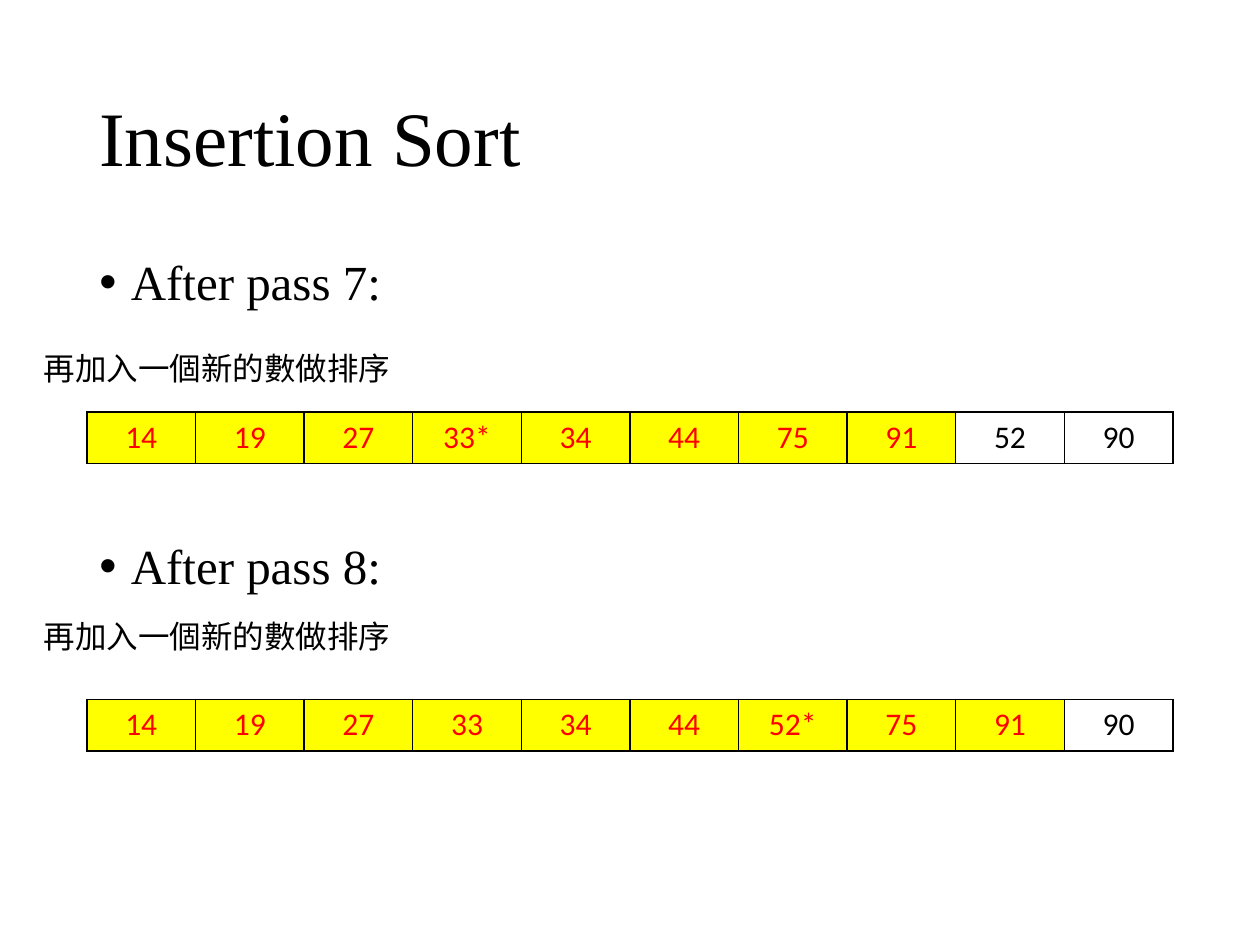
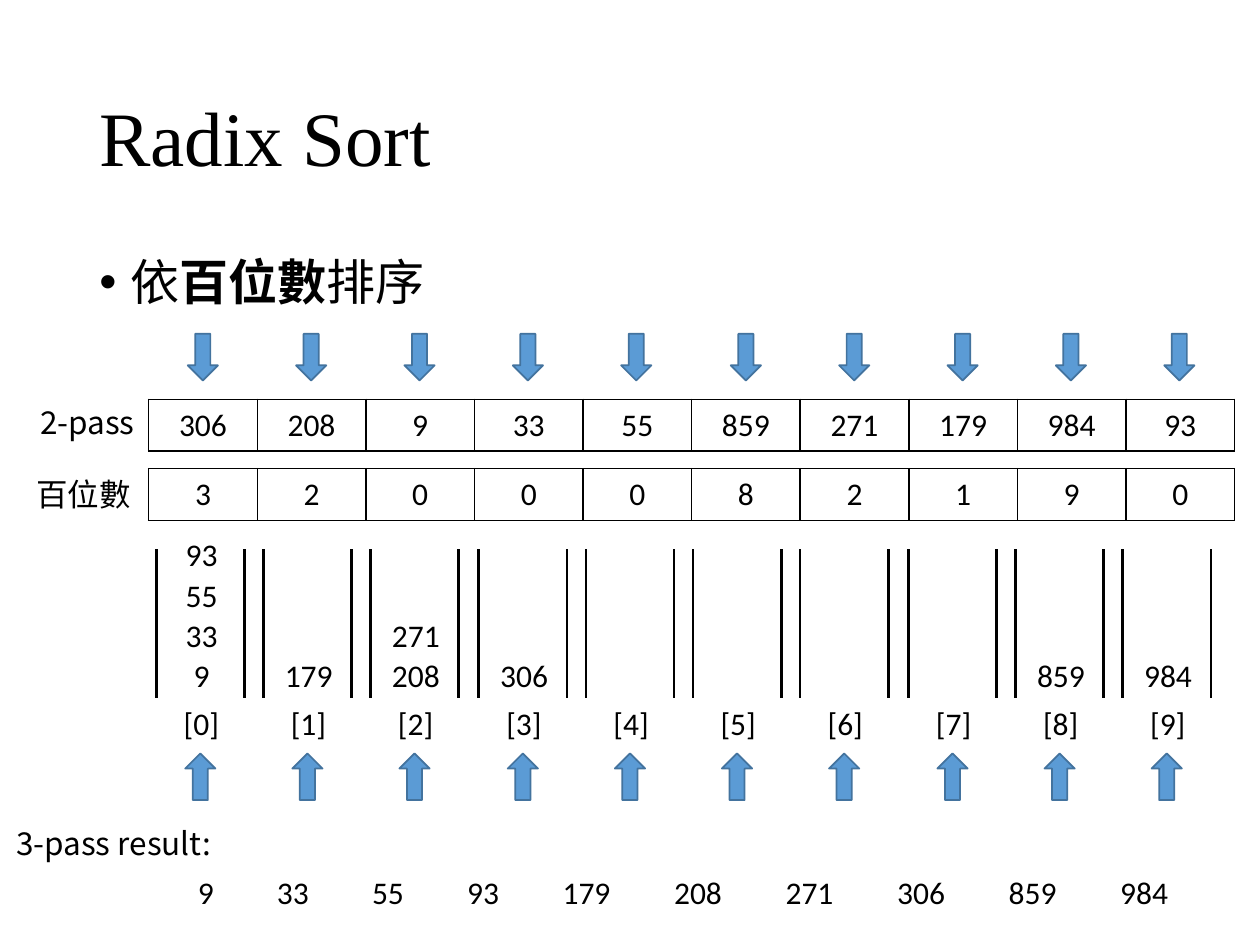
import lxml.etree
import pptx
import pptx.dml.color
import pptx.enum.shapes
import pptx.enum.text
import pptx.oxml.ns
import pptx.util

PX = 9144  # EMU in one px, at 100 px to the inch
COLOURS = {
    "ink": "000000",
    "sorted_text": "FF0000",
    "sorted_fill": "FFFF00",
    "arrow_fill": "5B9BD5",
    "arrow_line": "43739E",
}
SERIF = "Times New Roman"
SANS = "Calibri"
CHINESE = "Noto Sans CJK SC"
ALIGN = pptx.enum.text.PP_ALIGN
ARROWS = pptx.enum.shapes.MSO_SHAPE


def emu(length):
    return pptx.util.Emu(round(length * PX))


def colour(name):
    return pptx.dml.color.RGBColor.from_string(COLOURS[name])


def add_xml(parent, tag, **attributes):
    return lxml.etree.SubElement(parent, pptx.oxml.ns.qn(tag), attributes)


def spread(first, last, count=10):
    """Evenly spaced positions from first to last."""
    return [round(first + (last - first) * index / (count - 1)) for index in range(count)]


def number_width(number):
    return 20 + 13 * len(str(number))


class Deck:
    def __init__(self):
        self.presentation = pptx.Presentation()
        self.presentation.slide_width = emu(1000)
        self.presentation.slide_height = emu(750)
        self.slide = None

    def new_slide(self, title):
        self.slide = self.presentation.slides.add_slide(self.presentation.slide_layouts[6])
        text_frame = self.text_box(69, 40, 862, 145)
        text_frame.vertical_anchor = pptx.enum.text.MSO_ANCHOR.MIDDLE
        text_frame.text = title
        text_frame.paragraphs[0].line_spacing = 0.9
        self.style(text_frame.paragraphs[0], 44, SERIF)

    def style(self, paragraph, size=18, font=SANS, ink="ink"):
        for run in paragraph.runs:
            run.font.size = pptx.util.Pt(size)
            run.font.color.rgb = colour(ink)
            run.font.name = font
            add_xml(run.font._element, "a:ea", typeface=CHINESE)

    def text_box(self, left, top, width, height):
        shape = self.slide.shapes.add_textbox(emu(left), emu(top), emu(width), emu(height))
        shape.text_frame.word_wrap = True
        return shape.text_frame

    def label(self, text, left, top, width, font=SANS, align=ALIGN.LEFT):
        text_frame = self.text_box(left, top, width, 40)
        text_frame.word_wrap = False
        text_frame.auto_size = pptx.enum.text.MSO_AUTO_SIZE.SHAPE_TO_FIT_TEXT
        text_frame.text = text
        text_frame.paragraphs[0].alignment = align
        self.style(text_frame.paragraphs[0], font=font)

    def number(self, value, left, top):
        self.label(str(value), left, top, number_width(value), align=ALIGN.CENTER)

    def bullets(self, items, gap=0):
        """Each item is a list of (text, bold) runs; gap is in points."""
        text_frame = self.text_box(69, 200, 862, 476)
        for index, item in enumerate(items):
            paragraph = text_frame.add_paragraph() if index else text_frame.paragraphs[0]
            properties = paragraph._p.get_or_add_pPr()
            properties.set("marL", str(emu(25)))
            properties.set("indent", str(emu(-25)))
            add_xml(properties, "a:buFont", typeface="Arial")
            add_xml(properties, "a:buChar", char="•")
            paragraph.line_spacing = 0.9
            if index:
                paragraph.space_before = pptx.util.Pt(gap)
            for text, bold in item:
                run = paragraph.add_run()
                run.text = text
                run.font.bold = bold
            self.style(paragraph, 28, SERIF)

    def border(self, cell):
        properties = cell._tc.get_or_add_tcPr()
        for side in ("a:lnL", "a:lnR", "a:lnT", "a:lnB"):
            line = add_xml(properties, side, w=str(pptx.util.Pt(1)))
            add_xml(add_xml(line, "a:solidFill"), "a:srgbClr", val=COLOURS["ink"])

    def array(self, values, left, top, sorted_count=0):
        """One-row table whose first sorted_count cells are highlighted."""
        width = 862
        frame = self.slide.shapes.add_table(
            1, len(values), emu(left), emu(top), emu(width), emu(41))
        table = frame.table
        table.first_row = table.horz_banding = False
        for index, value in enumerate(values):
            table.columns[index].width = emu(width / len(values))
            is_sorted = index < sorted_count
            cell = table.cell(0, index)
            cell.text_frame.text = str(value)
            cell.vertical_anchor = pptx.enum.text.MSO_ANCHOR.MIDDLE
            paragraph = cell.text_frame.paragraphs[0]
            paragraph.alignment = ALIGN.CENTER
            self.style(paragraph, ink="sorted_text" if is_sorted else "ink")
            self.border(cell)
            if is_sorted:
                cell.fill.solid()
                cell.fill.fore_color.rgb = colour("sorted_fill")
            else:
                cell.fill.background()

    def arrow(self, kind, left, top):
        shape = self.slide.shapes.add_shape(kind, emu(left), emu(top), emu(24), emu(37))
        shape.shadow.inherit = False
        shape.fill.solid()
        shape.fill.fore_color.rgb = colour("arrow_fill")
        shape.line.color.rgb = colour("arrow_line")
        shape.line.width = pptx.util.Pt(1)

    def wall(self, left, top, bottom):
        line = self.slide.shapes.add_connector(
            pptx.enum.shapes.MSO_CONNECTOR.STRAIGHT,
            emu(left), emu(top), emu(left), emu(bottom))
        line.line.color.rgb = colour("ink")
        line.line.width = pptx.util.Pt(1.5)
        add_xml(line._element.spPr, "a:effectLst")


def insertion_sort(deck):
    deck.new_slide("Insertion Sort")
    deck.bullets([[("After pass 7:", False)], [("After pass 8:", False)]], gap=132)
    passes = [
        (272, 327, 8, [14, 19, 27, "33*", 34, 44, 75, 91, 52, 90]),
        (485, 555, 9, [14, 19, 27, 33, 34, 44, "52*", 75, 91, 90]),
    ]
    for note_top, array_top, sorted_count, values in passes:
        deck.label("再加入一個新的數做排序", 25, note_top, 298, CHINESE)
        deck.array(values, 69, array_top, sorted_count)


def radix_sort(deck):
    values = [306, 208, 9, 33, 55, 859, 271, 179, 984, 93]
    hundreds = [value // 100 for value in values]
    deck.new_slide("Radix Sort")
    deck.bullets([[("依", False), ("百位數", True), ("排序", False)]])

    # Input and its hundreds digits
    for left in spread(149, 924):
        deck.arrow(ARROWS.DOWN_ARROW, left, 265)
    deck.array(values, 118, 317)
    deck.array(hundreds, 118, 372)
    deck.label("2-pass", 22, 315, 96, CHINESE)
    deck.label("百位數", 19, 372, 96, CHINESE)

    # Buckets, filled from the bottom up
    for digit, left in enumerate(spread(124, 891)):
        deck.wall(left, 436, 554)
        deck.wall(left + 70, 436, 554)
        bucket = [value for value in values if value // 100 == digit]
        for level, value in enumerate(bucket):
            deck.number(value, left + 36 - number_width(value) / 2, 516 - 32 * level)
        deck.label(f"[{digit}]", left + 12, 554, 48)
        deck.arrow(ARROWS.UP_ARROW, left + 23, 598)

    # Result, with equal gaps between the numbers
    deck.label("3-pass result:", 3, 649, 197, CHINESE)
    left = 147
    for value in sorted(values):
        deck.number(value, left, 688)
        left += number_width(value) + 29.5


def main():
    deck = Deck()
    insertion_sort(deck)
    radix_sort(deck)
    deck.presentation.save("out.pptx")


if __name__ == "__main__":
    main()
